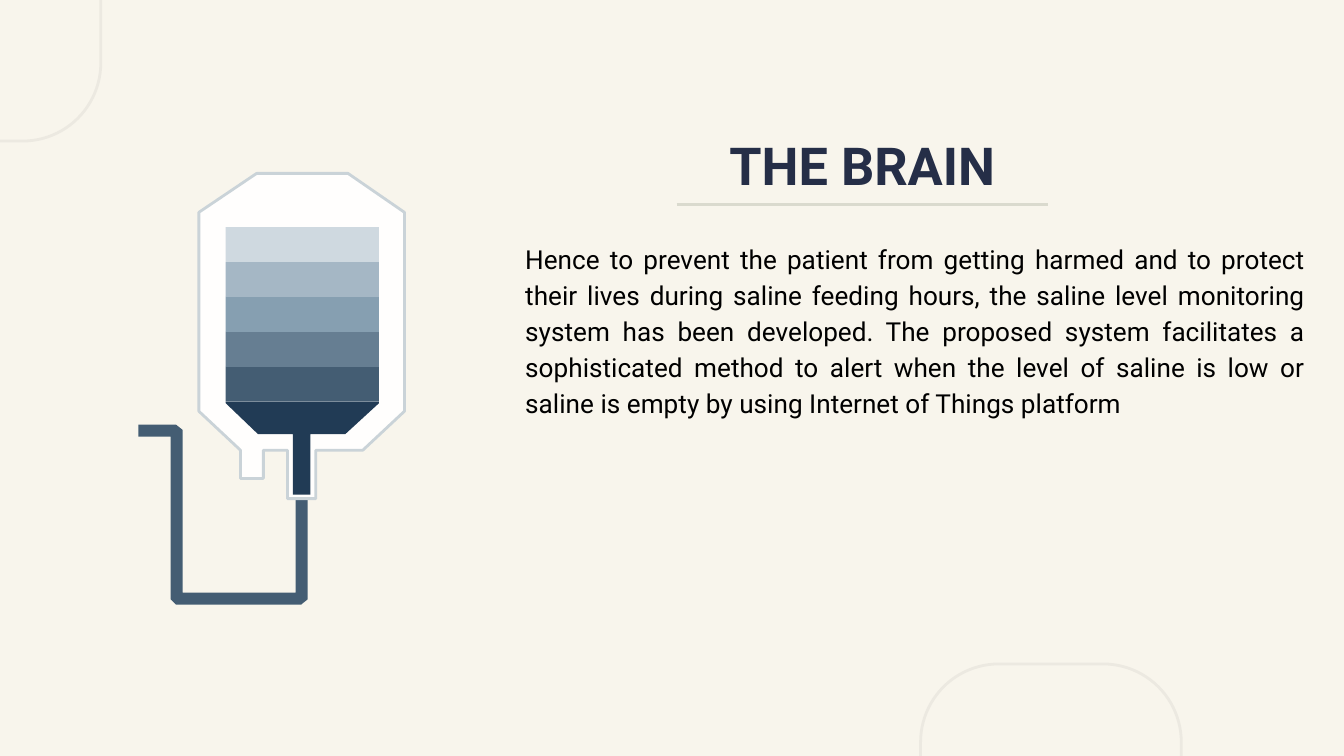
from lxml import etree
from pptx import Presentation
from pptx import util as u
from pptx.dml.color import RGBColor as Rgb
from pptx.enum import shapes, text

look = {
    "font": "Roboto", "head": 28, "body": 14, "rule": 1.5,
    "back": "F8F5EC", "curve": "ECE9E1", "line": "DADACE",
    "title": "252E47", "ink": "000000",
    "tube": "445D73", "bag": "FFFEFD", "edge": "CAD3D8", "deep": "213B55",
    "bands": ["CFD9E0", "A5B7C5", "869FB1", "667E92", "445D73"],
}

deck = Presentation()
deck.slide_width = u.Inches(10)
deck.slide_height = deck.slide_width * 9 // 16
cell = deck.slide_width / 100

slide = deck.slides.add_slide(deck.slide_layouts[5])
slide.background.fill.solid()
slide.background.fill.fore_color.rgb = Rgb.from_string(look["back"])


def paint(shape, fill=None, edge=None):
    shape.shadow.inherit = False
    if fill:
        shape.fill.solid()
        shape.fill.fore_color.rgb = Rgb.from_string(fill)
    else:
        shape.fill.background()
    if edge:
        shape.line.color.rgb = Rgb.from_string(edge)
        shape.line.width = u.Pt(look["rule"])
    else:
        shape.line.fill.background()


def span(*cells):
    return [round(n * cell) for n in cells]


for left, top in [(-11.9, -12.6), (68.5, 49.4)]:
    curve = slide.shapes.add_shape(
        shapes.MSO_SHAPE.ROUNDED_RECTANGLE, *span(left, top, 19.4, 23.1))
    curve.adjustments[0] = 0.3
    paint(curve, edge=look["curve"])

title = slide.shapes.title
body = slide.shapes.add_textbox(*span(38.1, 15.2, 60, 20.9))
title.left, title.top, title.width, title.height = span(42.6, 9.7, 43.1, 9.7)

words = ("Hence to prevent the patient from getting harmed and to protect their "
         "lives during saline feeding hours, the saline level monitoring system "
         "has been developed. The proposed system facilitates a sophisticated "
         "method to alert when the level of saline is low or saline is empty by "
         "using Internet of Things platform")

for box, copy, size, tint, bold, side, gap, inset in [
    (body, words, look["body"], look["ink"], False,
     text.PP_ALIGN.JUSTIFY, 1.15, 2.55),
    (title, "THE BRAIN", look["head"], look["title"], True,
     text.PP_ALIGN.CENTER, 1, 0.2),
]:
    frame = box.text_frame
    frame.word_wrap = True
    frame.auto_size = text.MSO_AUTO_SIZE.NONE
    frame.vertical_anchor = text.MSO_ANCHOR.TOP
    frame.margin_left, frame.margin_right, frame.margin_top = span(1, 1, inset)
    para = frame.paragraphs[0]
    para.alignment = side
    para.line_spacing = gap
    para.space_before = u.Pt(0)
    run = para.add_run()
    run.text = copy
    run.font.name = look["font"]
    run.font.size = u.Pt(size)
    run.font.bold = bold
    run.font.color.rgb = Rgb.from_string(tint)

rule = slide.shapes.add_connector(
    shapes.MSO_CONNECTOR.STRAIGHT, *span(50.35, 15.2, 77.95, 15.2))
rule.line.color.rgb = Rgb.from_string(look["line"])
rule.line.width = u.Pt(look["rule"])
etree.SubElement(
    rule.element.spPr,
    "{http://schemas.openxmlformats.org/drawingml/2006/main}effectLst")

drip = slide.shapes.add_group_shape()
tube = [(103, 316), (103, 325), (127, 325), (127, 446), (131, 450),
        (224, 450), (229, 446), (229, 364), (220, 364), (220, 441),
        (136, 441), (136, 320), (131, 316)]
bag = [(191, 129), (148, 158), (148, 306), (179, 335), (179, 356),
       (196, 356), (196, 335), (214, 335), (214, 371), (235, 371),
       (235, 335), (270, 335), (301, 306), (301, 158), (259, 129)]
spout = [(168, 299), (168, 300), (192, 323), (218, 323), (218, 368),
         (231, 368), (231, 323), (257, 323), (282, 300), (282, 299)]

for points, fill, edge in [(tube, look["tube"], None),
                           (bag, look["bag"], look["edge"]),
                           (spout, look["deep"], None)]:
    pen = drip.shapes.build_freeform(*points[0], scale=cell / 10)
    pen.add_line_segments(points[1:], close=True)
    paint(pen.convert_to_shape(), fill, edge)

for row, tint in reversed(list(enumerate(look["bands"]))):
    band = drip.shapes.add_shape(
        shapes.MSO_SHAPE.RECTANGLE, *span(16.8, 16.9 + 2.6 * row, 11.4, 2.6))
    paint(band, tint)

deck.save("out.pptx")
